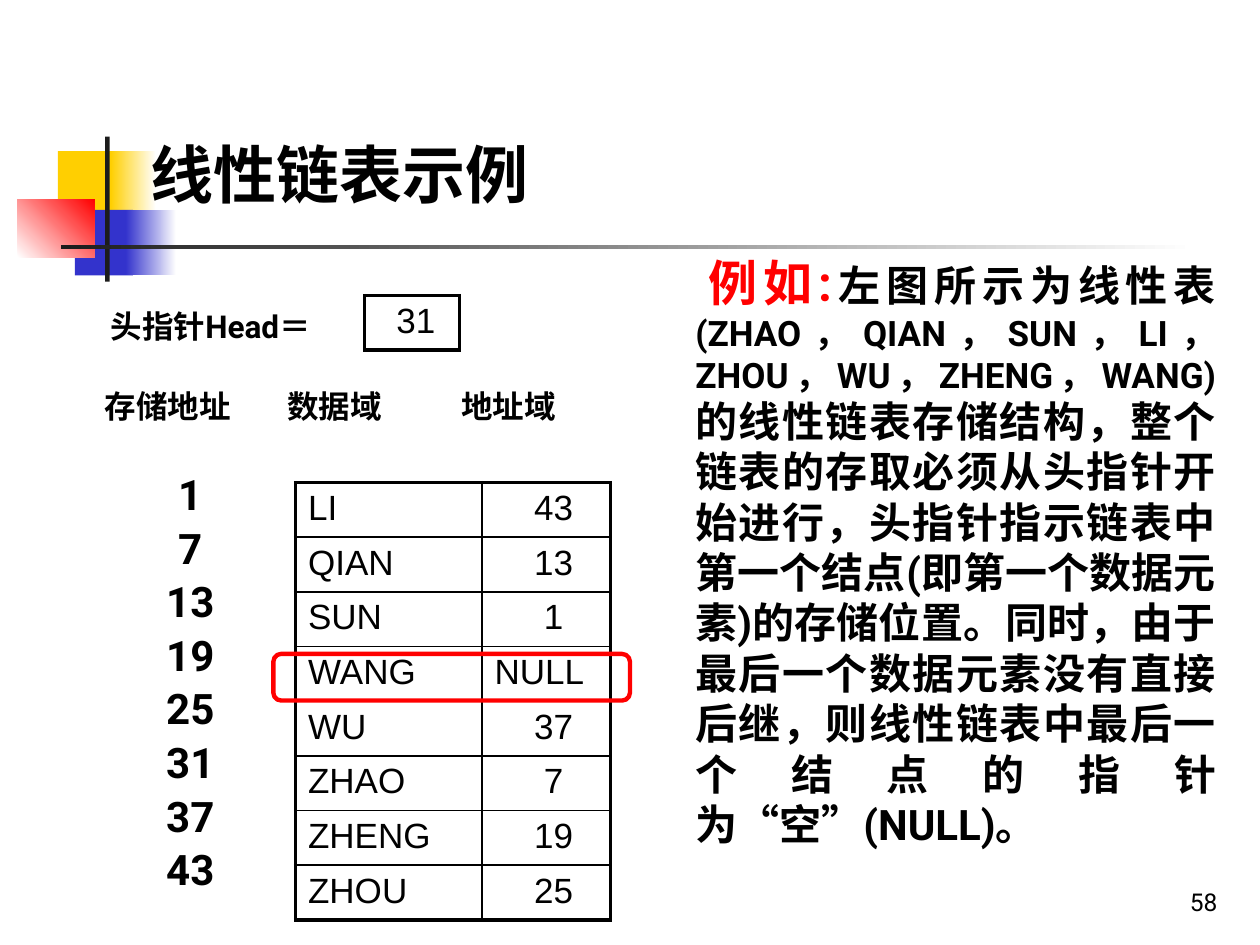
from lxml import etree
from pptx import Presentation, util as u
from pptx.dml.color import RGBColor
from pptx.enum import shapes, text
from pptx.oxml import ns

COLUMNS, ROWS = 100, 75
WIDTH, HEIGHT = u.Inches(10), u.Inches(7.5)
COLORS = {
    "ink": "000000", "paper": "FFFFFF", "red": "FF0000",
    "yellow": "FFCF01", "blue": "3333CC", "bar": "1C1C1C",
}
LEFT, CENTER, RIGHT, JUSTIFY = (
    text.PP_ALIGN.LEFT, text.PP_ALIGN.CENTER, text.PP_ALIGN.RIGHT, text.PP_ALIGN.JUSTIFY)
BODY = {"name": "Roboto", "size": u.Pt(18), "bold": True}
CELL = {"name": "Arial", "size": u.Pt(20), "bold": False}
THICK, THIN = 2.25, 1

DECORATIONS = [
    ((4.6, 12, 4.8, 5.2), ["yellow"], 0),
    ((8.8, 12, 3.6, 5.2), ["yellow", "paper"], 0),
    ((5.95, 16.65, 4.6, 5.2), ["blue"], 0),
    ((10, 16.65, 4, 5.2), ["blue", "paper"], 0),
    ((1.4, 15.8, 6.1, 4.65), ["paper", "red"], 45),
    ((8.35, 10.85, 0.35, 11.5), ["bar"], 0),
    ((4.85, 19.45, 90, 0.35), ["bar", "paper"], 0),
]
NODES = [
    ("1", "LI", "43"), ("7", "QIAN", "13"), ("13", "SUN", "1"), ("19", "WANG", "NULL"),
    ("25", "WU", "37"), ("31", "ZHAO", "7"), ("37", "ZHENG", "19"), ("43", "ZHOU", "25"),
]
HEADINGS = [(8.3, "存储地址"), (22.8, "数据域"), (36.6, "地址域")]
EXPLANATION = [
    ("例如:", {"size": u.Pt(28)}, "red"),
    ("左图所示为线性表", {"size": u.Pt(24)}, "ink"),
    ("(ZHAO，QIAN，SUN，LI，ZHOU，WU，ZHENG，WANG)", {"size": u.Pt(20)}, "ink"),
    ("的线性链表存储结构，整个链表的存取必须从头指针开始进行，头指针指示链表中第一个结点"
     "(即第一个数据元素)的存储位置。同时，由于最后一个数据元素没有直接后继，"
     "则线性链表中最后一个结点的指针为", {"size": u.Pt(24)}, "ink"),
    ("“", {"size": u.Pt(24), "name": "Times New Roman"}, "ink"),
    ("空", {"size": u.Pt(24)}, "ink"),
    ("”", {"size": u.Pt(24), "name": "Times New Roman"}, "ink"),
    ("(NULL)。", {"size": u.Pt(24)}, "ink"),
]


def across(columns):
    return round(WIDTH * columns / COLUMNS)


def down(rows):
    return round(HEIGHT * rows / ROWS)


def place(left, top, width, height):
    return across(left), down(top), across(width), down(height)


def apply(target, values):
    for name, value in values.items():
        setattr(target, name, value)


def color(name):
    return RGBColor.from_string(COLORS[name])


def add_run(paragraph, content, font, color_name="ink"):
    run = paragraph.add_run()
    run.text = content
    apply(run.font, font)
    run.font.color.rgb = color(color_name)


def add_text(slide, box, lines, font, layout=None, frame_format=None):
    frame = slide.shapes.add_textbox(*place(*box)).text_frame
    apply(frame, {"word_wrap": True, **(frame_format or {})})
    for index, runs in enumerate(lines):
        paragraph = frame.add_paragraph() if index else frame.paragraphs[0]
        apply(paragraph, layout or {})
        for content, changes, color_name in runs:
            add_run(paragraph, content, {**font, **changes}, color_name)
    return frame


def add_label(slide, box, content, font, layout=None, frame_format=None):
    return add_text(slide, box, [[(content, {}, "ink")]], font, layout, frame_format)


def add_decoration(slide, box, color_names, angle):
    shape = slide.shapes.add_shape(shapes.MSO_SHAPE.RECTANGLE, *place(*box))
    shape.shadow.inherit = False
    shape.line.fill.background()
    if len(color_names) == 1:
        shape.fill.solid()
        shape.fill.fore_color.rgb = color(color_names[0])
        return
    shape.fill.gradient()
    shape.fill.gradient_angle = angle
    for stop, name, position in zip(shape.fill.gradient_stops, color_names, (0, 1)):
        stop.color.rgb = color(name)
        stop.position = position


def set_borders(cell, widths):
    properties = cell._tc.get_or_add_tcPr()
    for index, (side, width) in enumerate(widths.items()):
        line = etree.Element(ns.qn(f"a:{side}"), w=str(u.Pt(width)))
        fill = etree.SubElement(line, ns.qn("a:solidFill"))
        etree.SubElement(fill, ns.qn("a:srgbClr"), val=COLORS["ink"])
        properties.insert(index, line)


def add_table(slide, box, column_widths, records, shift):
    rows, columns = len(records), len(column_widths)
    table = slide.shapes.add_table(rows, columns, *place(*box)).table
    apply(table, {"first_row": False, "horz_banding": False})
    for column, width in zip(table.columns, column_widths):
        column.width = across(width)
    for row_index, record in enumerate(records):
        for column_index, content in enumerate(record):
            cell = table.cell(row_index, column_index)
            cell.fill.background()
            set_borders(cell, {
                "lnL": THIN if column_index else THICK,
                "lnR": THICK if column_index == columns - 1 else THIN,
                "lnT": THIN if row_index else THICK,
                "lnB": THICK if row_index == rows - 1 else THIN,
            })
            paragraph = cell.text_frame.paragraphs[0]
            if content.isdigit():
                cell.margin_left = across(1 + shift)
                paragraph.alignment = CENTER
            add_run(paragraph, content, CELL)


def add_highlight(slide, box):
    shape = slide.shapes.add_shape(shapes.MSO_SHAPE.ROUNDED_RECTANGLE, *place(*box))
    shape.shadow.inherit = False
    shape.fill.background()
    shape.line.color.rgb = color("red")
    shape.line.width = u.Pt(2.5)


def add_explanation(slide):
    frame = add_text(slide, (47.5, 19.55, 50, 49.6), [EXPLANATION], BODY, {"alignment": JUSTIFY})
    properties = frame.paragraphs[0]._p.get_or_add_pPr()
    settings = {"marL": across(6.7), "indent": across(1.05), "hangingPunct": 0}
    for name, value in settings.items():
        properties.set(name, str(value))


def main():
    presentation = Presentation()
    apply(presentation, {"slide_width": WIDTH, "slide_height": HEIGHT})
    slide = presentation.slides.add_slide(presentation.slide_layouts[6])
    for decoration in DECORATIONS:
        add_decoration(slide, *decoration)

    flush = {"margin_left": 0, "margin_right": 0, "margin_top": 0, "margin_bottom": 0}
    add_label(slide, (8.8, 24.35, 19, 3.6), "头指针Head＝", BODY, None, flush)
    for left, heading in HEADINGS:
        add_label(slide, (left, 30.75, 12, 3.6), heading, BODY, None, flush)
    addresses = [[(address, {}, "ink")] for address, *_ in NODES]
    add_text(slide, (10, 36.95, 10.2, 34), addresses, {**BODY, "size": u.Pt(24)},
             {"alignment": CENTER, "line_spacing": u.Pt(30.6)}, flush)

    add_explanation(slide)
    add_table(slide, (28.95, 23.45, 7.5, 4.3), [7.5], [("31",)], 0.6)
    add_table(slide, (23.45, 38.3, 25, 34.6), [14.8, 10.2],
              [fields for _, *fields in NODES], 1.2)
    add_label(slide, (10.95, 10.95, 32.3, 6.5), "线性链表示例",
              {"name": "Times New Roman", "size": u.Pt(36), "bold": True},
              {"alignment": LEFT, "line_spacing": 0.9}, {"word_wrap": False})
    add_label(slide, (76.8, 68.2, 20.8, 5), "58",
              {"name": "Roboto", "size": u.Pt(14)}, {"alignment": RIGHT},
              {"vertical_anchor": text.MSO_ANCHOR.BOTTOM})
    add_highlight(slide, (21.7, 51.9, 28.3, 3.7))
    presentation.save("out.pptx")


if __name__ == "__main__":
    main()
